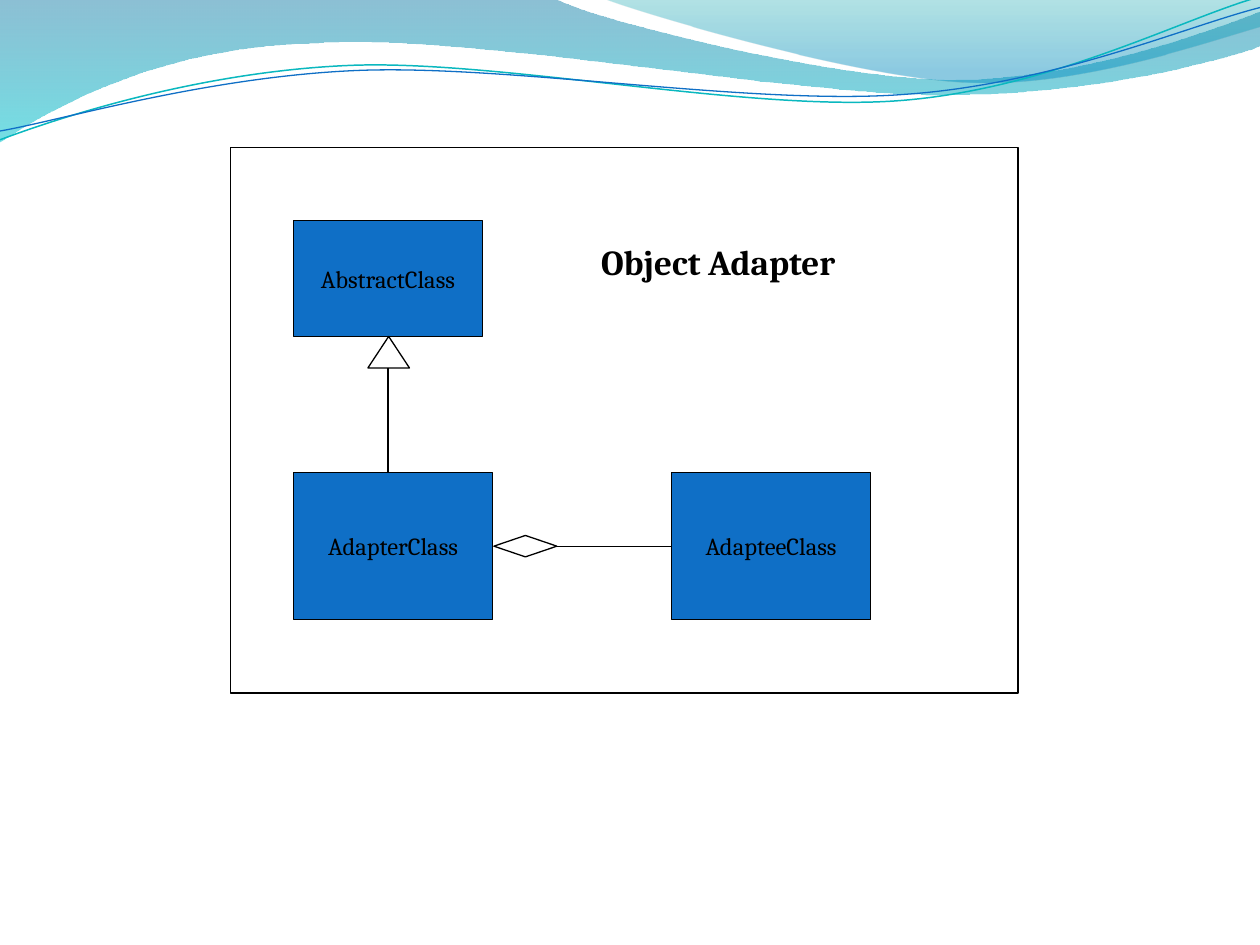
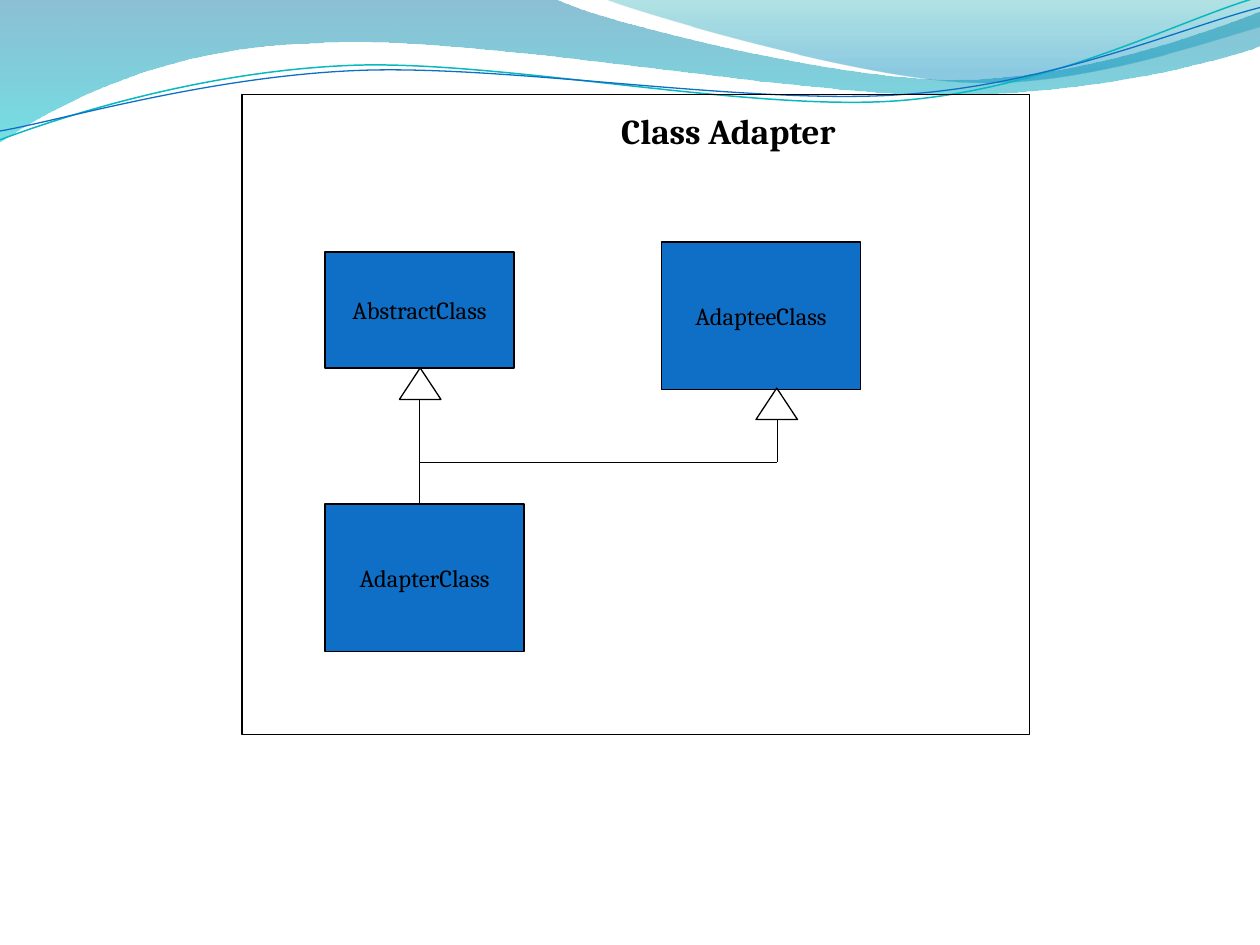
import pptx
import pptx.dml.color
import pptx.enum.shapes
import pptx.enum.text
import pptx.oxml
import pptx.oxml.ns
import pptx.util
from pptx.util import Inches

FONT = "Cambria"
BLACK = "000000"
BLUE = "0F6FC6"
TEAL = "0AB8BF"
LINE_WIDTH = pptx.util.Pt(0.75)
SHAPES = pptx.enum.shapes.MSO_SHAPE
ANCHOR = pptx.enum.text.MSO_ANCHOR
STRAIGHT = pptx.enum.shapes.MSO_CONNECTOR.STRAIGHT
NAMESPACE = pptx.oxml.ns.nsdecls("a")
qn = pptx.oxml.ns.qn


def rgb(color):
    return pptx.dml.color.RGBColor.from_string(color)


def write(shape, text, size=14, bold=False, anchor=ANCHOR.MIDDLE, left=0.1, top=0.05):
    """Put one centred line of text in a shape, inside the left and top margins."""
    frame = shape.text_frame
    frame.word_wrap = False
    frame.vertical_anchor = anchor
    frame.margin_left = Inches(left)
    frame.margin_top = Inches(top)
    para = frame.paragraphs[0]
    para.alignment = pptx.enum.text.PP_ALIGN.CENTER
    span = para.add_run()
    span.text = text
    span.font.name = FONT
    span.font.size = pptx.util.Pt(size)
    span.font.bold = bold
    span.font.color.rgb = rgb(BLACK)


# Each wave is a start point followed by steps: one point is a straight line
# to it, three points are a Bezier curve.
# Gradient stops are (position, colour, opacity in percent).
waves = [
    {"start": (0, 0),
     "steps": [[(4.4, -0.01)],
               [(4.76, 0.17), (6.64, 0.63), (7.58, 0.63)],
               [(8.53, 0.63), (9.58, 0.26), (10, 0.09)],
               [(10.01, 0.36)],
               [(9.83, 0.44), (8.7, 0.76), (7.46, 0.75)],
               [(6.22, 0.75), (3.82, 0.28), (2.57, 0.34)],
               [(1.29, 0.36), (0.46, 0.83), (-0.01, 1.13)],
               [(0, 0)]],
     "stops": [(0, "0074A1", 45), (1, "00C6CF", 55)]},
    {"start": (4.79, -0.01),
     "steps": [[(5.09, 0.11), (6.82, 0.62), (7.69, 0.65)],
               [(8.56, 0.69), (9.61, 0.32), (10, 0.21)],
               [(10, 0)],
               [(4.79, -0.01)]],
     "stops": [(0, "00A1A9", 30), (0.8, "008BBF", 45)]},
    {"start": (0, 1.11),
     "steps": [[(0.48, 0.93), (1.58, 0.57), (2.77, 0.52)],
               [(3.95, 0.47), (5.93, 0.89), (7.13, 0.8)],
               [(8.33, 0.71), (9.38, 0.15), (9.98, -0.02)]],
     "line": (TEAL, 0.85)},
    {"start": (0, 1.04),
     "steps": [[(0.47, 0.96), (1.64, 0.61), (2.83, 0.56)],
               [(4.03, 0.51), (5.97, 0.84), (7.17, 0.75)],
               [(8.36, 0.67), (9.41, 0.21), (10, 0.06)]],
     "line": (BLUE, 0.75)},
]

# Marks are given by their corners, lines by their end points.
diagrams = [
    {"title": "Object Adapter",
     "title_margins": {"left": 1.59, "top": 0.74},
     "frame": (1.83, 1.17, 6.25, 4.33),
     "classes": {"AbstractClass": (2.33, 1.75, 1.5, 0.92),
                 "AdapterClass": (2.33, 3.75, 1.58, 1.17),
                 "AdapteeClass": (5.33, 3.75, 1.58, 1.17)},
     "triangles": [(2.92, 2.67)],
     "lines": [(3.08, 2.92, 3.08, 3.75)],
     "diamond": (3.92, 4.25)},
    {"title": "Class Adapter",
     "title_margins": {"left": 1.57, "top": 0.12},
     "frame": (1.92, 0.75, 6.25, 5.08),
     "classes": {"AbstractClass": (2.58, 2, 1.5, 0.92),
                 "AdapterClass": (2.58, 4, 1.58, 1.17),
                 "AdapteeClass": (5.25, 1.92, 1.58, 1.17)},
     "triangles": [(3.17, 2.92), (6, 3.08)],
     "lines": [(3.33, 3.17, 3.33, 4),
               (3.33, 3.67, 6.17, 3.67),
               (6.17, 3.33, 6.17, 3.67)]},
]

deck = pptx.Presentation()
deck.slide_width = Inches(10)
deck.slide_height = Inches(7.5)
layout = deck.slide_layouts[6]
pages = [deck.slides.add_slide(layout) for diagram in diagrams]

# The waves are drawn on the first page and moved to the shared layout.
for wave in waves:
    start_x, start_y = wave["start"]
    builder = pages[0].shapes.build_freeform(Inches(start_x), Inches(start_y))
    points = [(Inches(x), Inches(y)) for step in wave["steps"] for x, y in step]
    builder.add_line_segments(points, close="stops" in wave)
    shape = builder.convert_to_shape()
    shape.shadow.inherit = False

    # Three line segments of a curved step become one Bezier segment.
    segments = iter(list(shape.element.iter(qn("a:lnTo"))))
    for step in wave["steps"]:
        parts = [next(segments) for point in step]
        if len(parts) == 3:
            curve = pptx.oxml.parse_xml(f"<a:cubicBezTo {NAMESPACE}/>")
            parts[0].addprevious(curve)
            for part in parts:
                curve.append(part[0])
                part.getparent().remove(part)

    if "stops" in wave:
        shape.line.fill.background()
        shape.fill.gradient()
        shape.fill.gradient_angle = 270
        for stop, (position, color, opacity) in zip(shape.fill.gradient_stops, wave["stops"]):
            stop.position = position
            stop.color.rgb = rgb(color)
        colors = shape.element.iter(qn("a:srgbClr"))
        for color_element, (position, color, opacity) in zip(colors, wave["stops"]):
            alpha = pptx.oxml.parse_xml(f'<a:alpha {NAMESPACE} val="{opacity * 1000}"/>')
            color_element.append(alpha)
    else:
        color, width = wave["line"]
        shape.fill.background()
        shape.line.color.rgb = rgb(color)
        shape.line.width = pptx.util.Pt(width)
    layout.shapes.element.append(shape.element)

for page, diagram in zip(pages, diagrams):
    outlines = [(SHAPES.RECTANGLE, place, name) for name, place in diagram["classes"].items()]
    outlines += [(SHAPES.ISOSCELES_TRIANGLE, (*corner, 0.33, 0.25), "triangle")
                 for corner in diagram["triangles"]]
    if "diamond" in diagram:
        outlines.append((SHAPES.DIAMOND, (*diagram["diamond"], 0.5, 0.17), "diamond"))
    outlines.append((SHAPES.RECTANGLE, diagram["frame"], "frame"))
    boxes = {}
    for kind, place, name in outlines:
        box = page.shapes.add_shape(kind, *[Inches(n) for n in place])
        box.shadow.inherit = False
        box.line.color.rgb = rgb(BLACK)
        box.line.width = LINE_WIDTH
        if name in diagram["classes"]:
            box.fill.solid()
            box.fill.fore_color.rgb = rgb(BLUE)
            write(box, name)
        else:
            box.fill.background()
        boxes[name] = box
    write(boxes["frame"], diagram["title"], size=20, bold=True, anchor=ANCHOR.TOP,
          **diagram["title_margins"])

    connectors = [page.shapes.add_connector(STRAIGHT, *[Inches(n) for n in ends])
                  for ends in diagram["lines"]]
    if "diamond" in boxes:
        aggregation = page.shapes.add_connector(STRAIGHT, 0, 0, 0, 0)
        aggregation.begin_connect(boxes["diamond"], 3)
        aggregation.end_connect(boxes["AdapteeClass"], 1)
        connectors.append(aggregation)
    for connector in connectors:
        connector.line.color.rgb = rgb(BLACK)
        connector.line.width = LINE_WIDTH
        properties = connector.element.find(qn("p:spPr"))
        properties.append(pptx.oxml.parse_xml(f"<a:effectLst {NAMESPACE}/>"))

deck.save("out.pptx")
